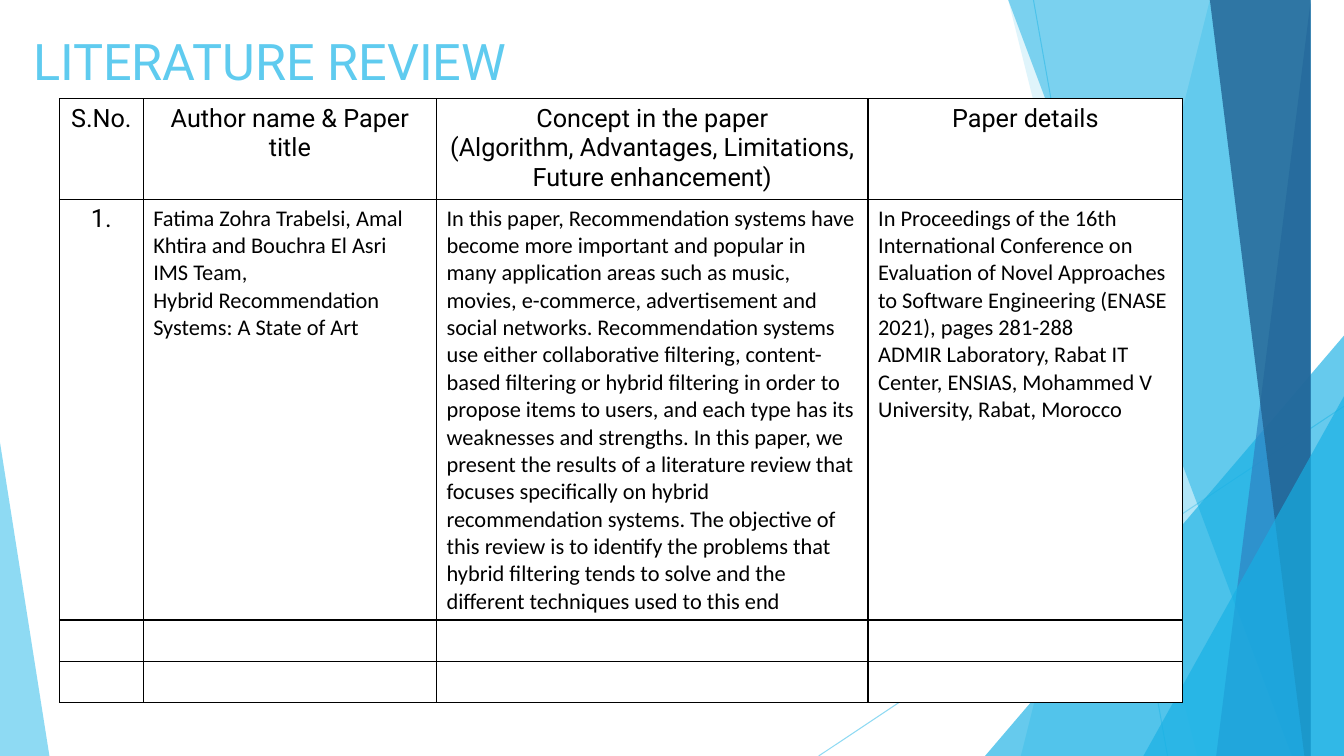
from dataclasses import dataclass

from lxml import etree
from pptx import Presentation
from pptx import util as u
from pptx.dml.color import RGBColor
from pptx.enum import shapes, text
from pptx.oxml.ns import qn

# Grid: one column and one row are each one inch
COLUMNS, ROWS = 13.33, 7.5


@dataclass(frozen=True)
class Theme:
    sky: str = "5FCBEF"
    cyan: str = "17B0E4"
    blue: str = "2E83C3"
    navy: str = "226292"
    ink: str = "000000"
    paper: str = "FFFFFF"
    display_font: str = "Roboto"
    body_font: str = "Calibri"
    title_size: int = 36
    header_size: int = 18
    body_size: int = 16
    hairline: float = 0.75
    border: int = 1


THEME = Theme()

COLUMN_WIDTHS = [0.83, 2.91, 4.28, 3.12]
ROW_HEIGHTS = [0.98, 4.17, 0.41, 0.41]

# Each cell is a list of paragraphs
HEADERS = [
    ["S.No."],
    ["Author name & Paper title"],
    ["Concept in the paper",
     "(Algorithm, Advantages, Limitations, Future enhancement)"],
    ["Paper details"],
]
REVIEW = [
    ["1."],
    ["Fatima Zohra Trabelsi, Amal Khtira and Bouchra El Asri IMS Team,",
     "Hybrid Recommendation Systems: A State of Art"],
    ["In this paper, Recommendation systems have become more important and "
     "popular in many application areas such as music, movies, e-commerce, "
     "advertisement and social networks. Recommendation systems use either "
     "collaborative filtering, content-based filtering or hybrid filtering in "
     "order to propose items to users, and each type has its weaknesses and "
     "strengths. In this paper, we present the results of a literature review "
     "that focuses specifically on hybrid recommendation systems. The "
     "objective of this review is to identify the problems that hybrid "
     "filtering tends to solve and the different techniques used to this end"],
    ["In Proceedings of the 16th International Conference on Evaluation of "
     "Novel Approaches to Software Engineering (ENASE 2021), pages 281-288",
     "ADMIR Laboratory, Rabat IT Center, ENSIAS, Mohammed V University, "
     "Rabat, Morocco"],
]


def grid(*cells):
    return [u.Inches(cell) for cell in cells]


def set_opacity(shape, percent):
    for color in shape._element.spPr.iter(qn("a:srgbClr")):
        etree.SubElement(color, qn("a:alpha"), val=str(percent * 1000))


def paint(shape, color, opacity):
    shape.shadow.inherit = False
    shape.fill.solid()
    shape.fill.fore_color.rgb = RGBColor.from_string(color)
    shape.line.fill.background()
    set_opacity(shape, opacity)


def add_ray(slide, start, end):
    ray = slide.shapes.add_connector(
        shapes.MSO_CONNECTOR.STRAIGHT, *grid(*start, *end))
    ray.line.color.rgb = RGBColor.from_string(THEME.sky)
    ray.line.width = u.Pt(THEME.hairline)
    set_opacity(ray, 70)
    etree.SubElement(ray._element.spPr, qn("a:effectLst"))


def add_facet(slide, top_column, bottom_column, color, opacity):
    """Panel from a slanted left edge to the right edge of the slide."""
    top = -0.01
    builder = slide.shapes.build_freeform(top_column, top, scale=u.Inches(1))
    builder.add_line_segments(
        [(COLUMNS, top), (COLUMNS, ROWS), (bottom_column, ROWS)])
    paint(builder.convert_to_shape(), color, opacity)


def add_corner(slide, left, top, width, apex, color, opacity):
    """Triangle standing on the bottom edge of the slide."""
    corner = slide.shapes.add_shape(
        shapes.MSO_SHAPE.ISOSCELES_TRIANGLE,
        *grid(left, top, width, ROWS - top))
    corner.adjustments[0] = apex
    paint(corner, color, opacity)


def add_run(paragraph, words, font, size, color):
    run = paragraph.add_run()
    run.text = words
    run.font.name = font
    run.font.size = u.Pt(size)
    run.font.color.rgb = RGBColor.from_string(color)


def add_title(slide, words):
    box = slide.shapes.add_textbox(*grid(0.23, 0.21, 11.5, 0.78))
    frame = box.text_frame
    frame.word_wrap = True
    frame.vertical_anchor = text.MSO_ANCHOR.MIDDLE
    add_run(frame.paragraphs[0], words,
            THEME.display_font, THEME.title_size, THEME.sky)


def style_cell(cell):
    properties = cell._tc.get_or_add_tcPr()
    for side in ("a:lnL", "a:lnR", "a:lnT", "a:lnB"):
        border = etree.SubElement(
            properties, qn(side), w=str(u.Pt(THEME.border)))
        fill = etree.SubElement(border, qn("a:solidFill"))
        etree.SubElement(fill, qn("a:srgbClr"), val=THEME.ink)
    cell.fill.solid()
    cell.fill.fore_color.rgb = RGBColor.from_string(THEME.paper)


def fill_cell(cell, lines, is_label):
    frame = cell.text_frame
    for index, words in enumerate(lines):
        paragraph = frame.add_paragraph() if index else frame.paragraphs[0]
        if is_label:
            paragraph.alignment = text.PP_ALIGN.CENTER
            font, size = THEME.display_font, THEME.header_size
        else:
            font, size = THEME.body_font, THEME.body_size
        add_run(paragraph, words, font, size, THEME.ink)


def add_review_table(slide, content):
    table = slide.shapes.add_table(
        len(ROW_HEIGHTS), len(COLUMN_WIDTHS),
        *grid(0.59, 0.98, sum(COLUMN_WIDTHS), sum(ROW_HEIGHTS))).table
    table.first_row = table.horz_banding = False
    for column, width in zip(table.columns, COLUMN_WIDTHS):
        column.width = u.Inches(width)
    for row, height in zip(table.rows, ROW_HEIGHTS):
        row.height = u.Inches(height)
    for cell in table.iter_cells():
        style_cell(cell)
    for row, cells in enumerate(content):
        for column, lines in enumerate(cells):
            fill_cell(table.cell(row, column), lines, row == 0 or column == 0)


def main():
    presentation = Presentation()
    presentation.slide_width, presentation.slide_height = grid(COLUMNS, ROWS)
    slide = presentation.slides.add_slide(presentation.slide_layouts[6])

    # Faceted backdrop, back to front
    add_ray(slide, (10.25, 0), (11.58, ROWS))
    add_ray(slide, (COLUMNS, 4.03), (8.12, ROWS))
    add_facet(slide, 12.28, 10.04, THEME.sky, 36)
    add_facet(slide, 10.5, 11.83, THEME.sky, 20)
    add_corner(slide, 9.77, 3.33, 3.56, 1, THEME.cyan, 66)
    add_facet(slide, 10.21, 12.91, THEME.cyan, 50)
    add_facet(slide, 13.03, 11.92, THEME.blue, 70)
    add_facet(slide, 11.96, 13.18, THEME.navy, 80)
    add_corner(slide, 11.34, 3.93, 1.99, 1, THEME.cyan, 66)
    add_corner(slide, 0, 4.39, 0.49, 0, THEME.sky, 70)

    # Title and review table
    add_title(slide, "LITERATURE REVIEW")
    add_review_table(slide, [HEADERS, REVIEW])

    presentation.save("out.pptx")


if __name__ == "__main__":
    main()
